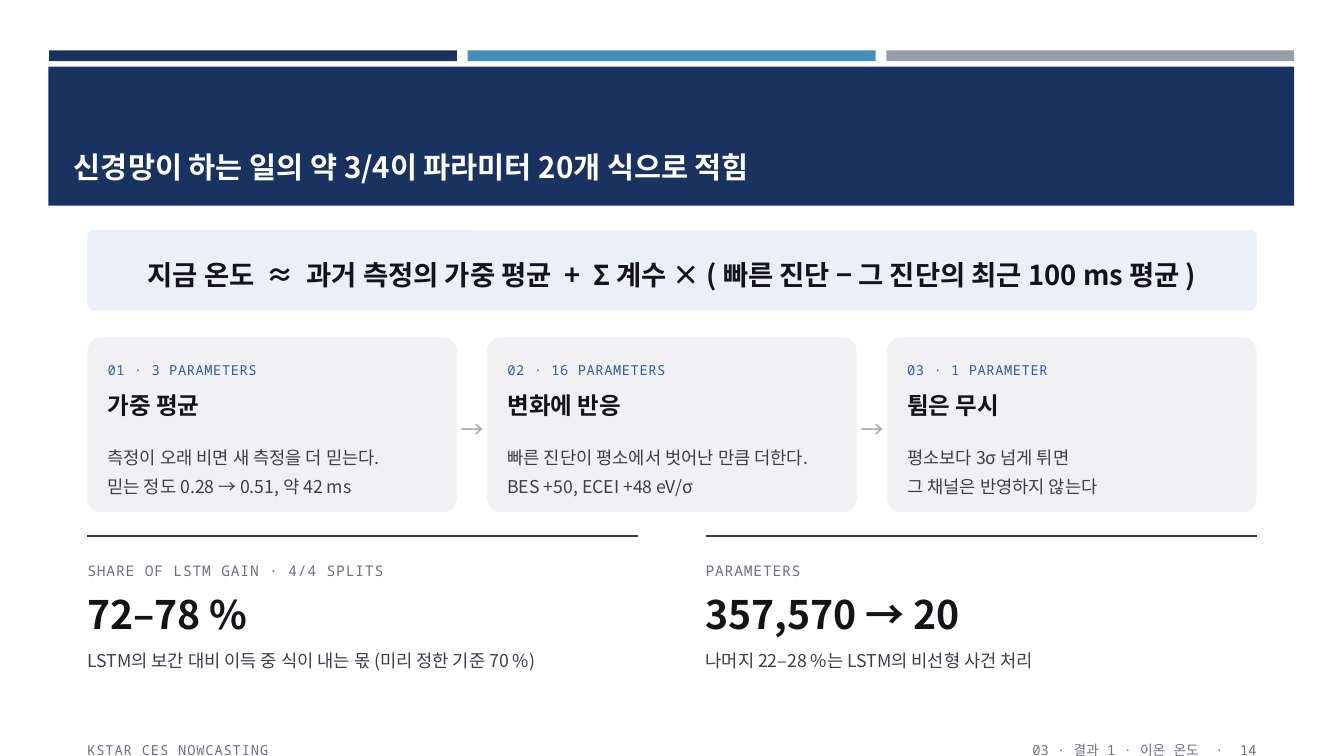
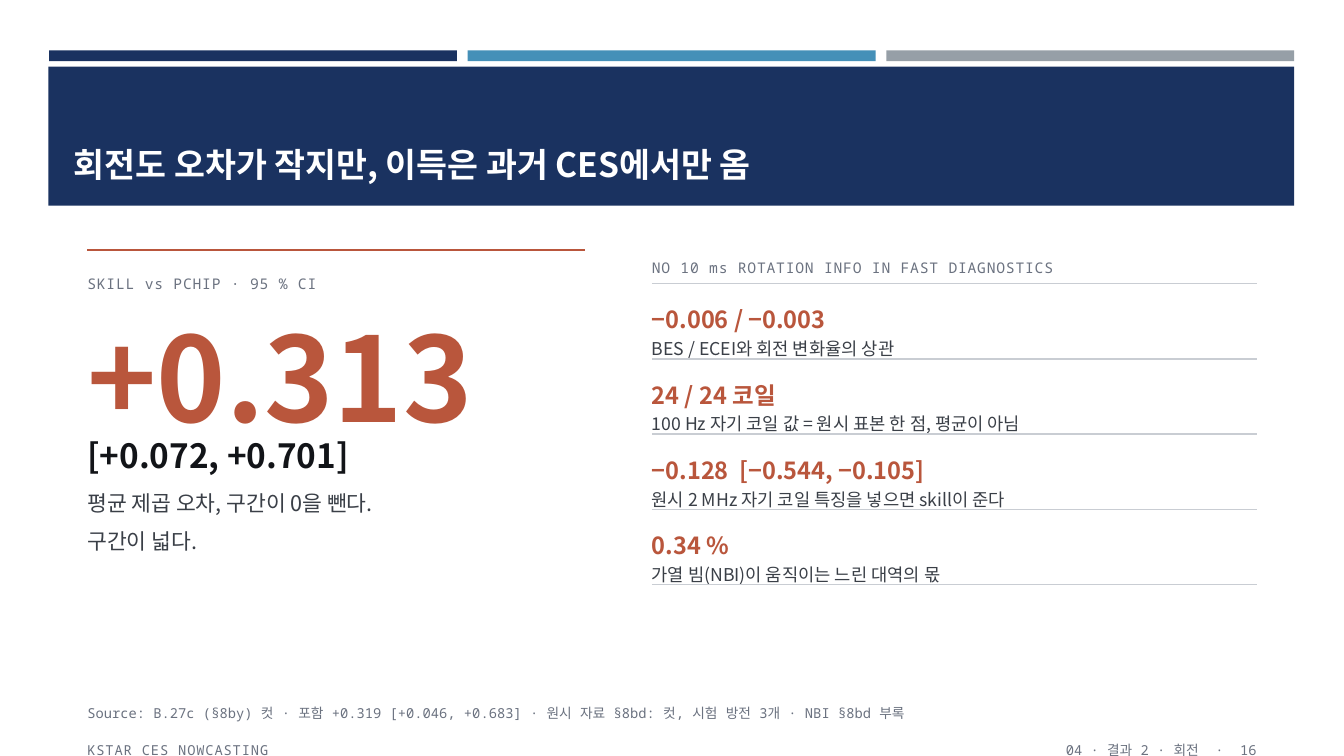
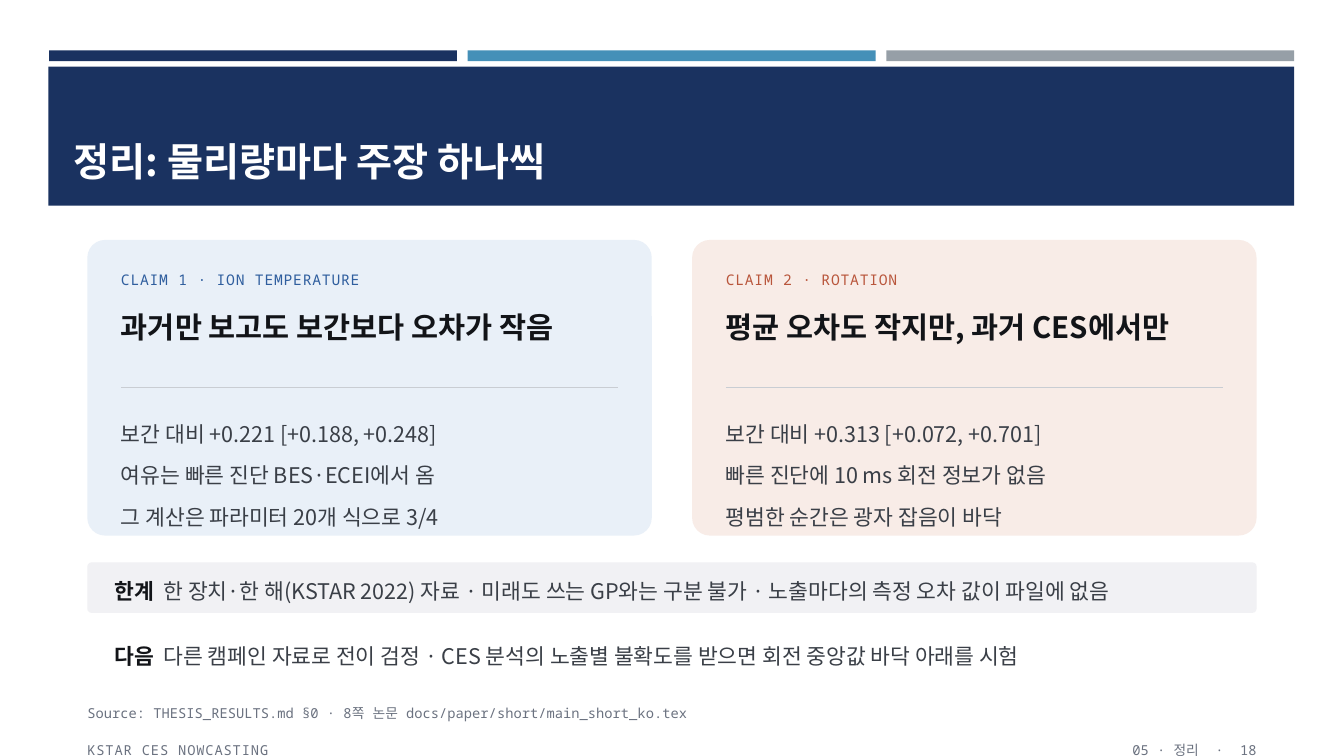
from dataclasses import dataclass, replace

from lxml.etree import SubElement
from pptx import Presentation
from pptx.dml.color import RGBColor
from pptx.enum.shapes import MSO_CONNECTOR, MSO_SHAPE
from pptx.enum.text import MSO_ANCHOR, MSO_AUTO_SIZE, PP_ALIGN
from pptx.oxml.ns import qn
from pptx.util import Emu, Pt

SANS, MONO = "Noto Sans CJK KR", "Noto Sans Mono"
NAVY, SKY, SILVER, WHITE = "1A3260", "4590B8", "969FA7", "FFFFFF"
INK, BODY, MUTED, ARROW, RULE = "121418", "3A3F47", "6B7280", "A4A9B1", "C9CDD3"
BLUE, RUST, PALE_BLUE, PALE_RUST, PALE_GRAY = "2F5E9E", "B9563C", "E9F0F8", "F8ECE7", "F1F1F4"
LEFT, CONTENT_WIDTH = 130, 1740


@dataclass(frozen=True)
class Style:
    """Look of a run and the line spacing of its paragraph."""
    size: float
    color: str = BODY
    bold: bool = False
    font: str = SANS
    leading: float = 1.25
    tracking: int = 0


LABEL = Style(10.5, MUTED, font=MONO, tracking=60)
SMALL = Style(9.8, MUTED, font=MONO)
FOOTER = replace(SMALL, tracking=60)
STEP_LABEL = Style(9.8, BLUE, font=MONO, tracking=40)
NOTE = Style(12.6)
LOOSE_NOTE = replace(NOTE, leading=1.4)
TEXT = Style(15.4)
STRONG = Style(15.4, INK, True)
FINDING = Style(16.8, RUST, True)


def px(length):
    """Turn whole px (150 to the inch) into EMU."""
    return Emu(length * 6096)


def rgb(color):
    """Turn a hex string into a colour."""
    return RGBColor.from_string(color)


def add_run(paragraph, words, style):
    """Append one styled run."""
    run = paragraph.add_run()
    run.text = words
    font = run.font
    font.size, font.bold, font.name = Pt(style.size), style.bold, style.font
    font.color.rgb = rgb(style.color)
    properties = run._r.get_or_add_rPr()
    SubElement(properties, qn("a:ea"), typeface=style.font)
    if style.tracking:
        properties.set("spc", str(style.tracking))


def write(frame, lines, align=PP_ALIGN.LEFT, anchor=MSO_ANCHOR.TOP):
    """Fill a frame with paragraphs, each a list of (words, style) runs."""
    frame.word_wrap, frame.auto_size = True, MSO_AUTO_SIZE.NONE
    frame.vertical_anchor = anchor
    for index, runs in enumerate(lines):
        paragraph = frame.add_paragraph() if index else frame.paragraphs[0]
        paragraph.alignment, paragraph.line_spacing = align, runs[0][1].leading
        for words, style in runs:
            add_run(paragraph, words, style)


def trim(frame):
    """Remove the insets of a frame."""
    frame.margin_left = frame.margin_right = frame.margin_top = frame.margin_bottom = 0


def add_text(slide, x, y, width, height, lines, **layout):
    """Add a text box without insets."""
    frame = slide.shapes.add_textbox(px(x), px(y), px(width), px(height)).text_frame
    trim(frame)
    write(frame, lines, **layout)


def add_line_of_text(slide, x, y, width, height, words, style, **layout):
    """Add a text box holding a single run."""
    add_text(slide, x, y, width, height, [[(words, style)]], **layout)


def add_panel(slide, x, y, width, height, fill, radius=0.0):
    """Add a filled rectangle, rounded when a radius is given."""
    preset = MSO_SHAPE.ROUNDED_RECTANGLE if radius else MSO_SHAPE.RECTANGLE
    panel = slide.shapes.add_shape(preset, px(x), px(y), px(width), px(height))
    if radius:
        panel.adjustments[0] = radius
    panel.shadow.inherit = False
    panel.fill.solid()
    panel.fill.fore_color.rgb = rgb(fill)
    panel.line.fill.background()
    return panel


def add_rule(slide, x, y, width, color=RULE, weight=1.0):
    """Add a horizontal line."""
    rule = slide.shapes.add_connector(MSO_CONNECTOR.STRAIGHT, px(x), px(y), px(x + width), px(y))
    rule.line.color.rgb, rule.line.width = rgb(color), Pt(weight)
    SubElement(rule._element.spPr, qn("a:effectLst"))


def add_master_bands(slide):
    """Draw the header bands and move them to the slide master."""
    bands = [add_panel(slide, 73 + 623 * column, 75, 607, 16, color)
             for column, color in enumerate((NAVY, SKY, SILVER))]
    bands.append(add_panel(slide, 72, 99, 1854, 207, NAVY))
    master_tree = slide.slide_layout.slide_master.shapes._spTree
    for index, band in enumerate(bands):
        band._element.nvSpPr.cNvPr.set("id", str(20 + index))
        master_tree.insert(2 + index, band._element)


def add_slide(deck, heading, size, section, source=None):
    """Add a slide with its title, footer and optional source line."""
    slide = deck.slides.add_slide(deck.slide_layouts[5])
    title = slide.shapes.title
    title.left, title.top, title.width, title.height = px(95), px(120), px(1809), px(162)
    write(title.text_frame, [[(heading, Style(size, WHITE, True, leading=1.0))]],
          anchor=MSO_ANCHOR.BOTTOM)
    if source:
        add_line_of_text(slide, LEFT, 1042, CONTENT_WIDTH, 40, source, SMALL)
    add_line_of_text(slide, LEFT, 1098, 800, 27, "KSTAR CES NOWCASTING", FOOTER)
    add_line_of_text(slide, 1070, 1098, 800, 27, section, SMALL, align=PP_ALIGN.RIGHT)
    return slide


def add_step(slide, x, label, name, details):
    """Add one numbered step card."""
    top = 502
    add_panel(slide, x, top, 550, 260, PALE_GRAY, 0.08)
    add_line_of_text(slide, x + 30, top + 30, 490, 40, label, STEP_LABEL)
    add_line_of_text(slide, x + 30, top + 72, 490, 90, name, Style(16.8, INK, True, leading=1.2))
    add_text(slide, x + 30, top + 150, 490, 100, [[(detail, LOOSE_NOTE)] for detail in details])


def add_metric(slide, x, label, value, note):
    """Add a ruled key figure with its label and note."""
    add_rule(slide, x, 798, 820, BODY, 1.25)
    add_line_of_text(slide, x, 830, 820, 35, label, LABEL)
    add_line_of_text(slide, x, 878, 820, 70, value, Style(28, INK, True, leading=1.0))
    add_line_of_text(slide, x, 954, 820, 60, note, LOOSE_NOTE)


def add_finding(slide, x, y, value, note):
    """Add a value with a note and a closing rule."""
    add_line_of_text(slide, x, y + 22, 900, 50, value, FINDING)
    add_line_of_text(slide, x, y + 73, 900, 60, note, NOTE)
    add_rule(slide, x, y + 112, 900)


def add_claim(slide, x, fill, accent, label, claim, points):
    """Add a claim card with its supporting points."""
    top, inner = 357, x + 50
    add_panel(slide, x, top, 840, 440, fill, 0.06)
    add_line_of_text(slide, inner, top + 40, 740, 35, label, replace(LABEL, color=accent))
    add_line_of_text(slide, inner, top + 90, 740, 120, claim, Style(21, INK, True))
    add_rule(slide, inner, top + 220, 740)
    add_text(slide, inner, top + 246, 740, 190,
             [[(point, replace(TEXT, leading=1.6))] for point in points])


def build_formula(slide):
    """Fill the slide on the 20-parameter formula."""
    formula = add_panel(slide, LEFT, 342, CONTENT_WIDTH, 120, PALE_BLUE, 0.08).text_frame
    trim(formula)
    write(formula, [[("지금 온도  ≈  과거 측정의 가중 평균  +  Σ 계수 × ( 빠른 진단 − 그 진단의 최근 100 ms 평균 )",
                      Style(19.6, INK, True))]],
          align=PP_ALIGN.CENTER, anchor=MSO_ANCHOR.MIDDLE)
    steps = [
        ("01 · 3 PARAMETERS", "가중 평균",
         ["측정이 오래 비면 새 측정을 더 믿는다.", "믿는 정도 0.28 → 0.51, 약 42 ms"]),
        ("02 · 16 PARAMETERS", "변화에 반응",
         ["빠른 진단이 평소에서 벗어난 만큼 더한다.", "BES +50, ECEI +48 eV/σ"]),
        ("03 · 1 PARAMETER", "튐은 무시",
         ["평소보다 3σ 넘게 튀면", "그 채널은 반영하지 않는다"]),
    ]
    for index, step in enumerate(steps):
        x = LEFT + 595 * index
        add_step(slide, x, *step)
        if index:
            add_line_of_text(slide, x - 45, 603, 45, 60, "→", Style(16.8, ARROW),
                             align=PP_ALIGN.CENTER, anchor=MSO_ANCHOR.MIDDLE)
    add_metric(slide, LEFT, "SHARE OF LSTM GAIN · 4/4 SPLITS", "72–78 %",
               "LSTM의 보간 대비 이득 중 식이 내는 몫 (미리 정한 기준 70 %)")
    add_metric(slide, 1050, "PARAMETERS", "357,570 → 20",
               "나머지 22–28 %는 LSTM의 비선형 사건 처리")


def build_rotation(slide):
    """Fill the slide on the rotation result."""
    add_rule(slide, LEFT, 372, 740, RUST, 2)
    add_line_of_text(slide, LEFT, 402, 740, 35, "SKILL vs PCHIP · 95 % CI", LABEL)
    add_line_of_text(slide, LEFT, 453, 740, 190, "+0.313", Style(84, RUST, True, leading=1.0))
    add_line_of_text(slide, LEFT, 633, 740, 70, "[+0.072, +0.701]", Style(23.8, INK, True))
    remark = replace(TEXT, leading=1.45)
    add_text(slide, LEFT, 712, 740, 140,
             [[("평균 제곱 오차, 구간이 0을 뺀다.", remark)], [("구간이 넓다.", remark)]])
    x, top = 970, 422
    add_line_of_text(slide, x, 378, 900, 35, "NO 10 ms ROTATION INFO IN FAST DIAGNOSTICS", LABEL)
    add_rule(slide, x, top, 900)
    findings = [
        ("−0.006 / −0.003", "BES / ECEI와 회전 변화율의 상관"),
        ("24 / 24 코일", "100 Hz 자기 코일 값 = 원시 표본 한 점, 평균이 아님"),
        ("−0.128  [−0.544, −0.105]", "원시 2 MHz 자기 코일 특징을 넣으면 skill이 준다"),
        ("0.34 %", "가열 빔(NBI)이 움직이는 느린 대역의 몫"),
    ]
    for index, finding in enumerate(findings):
        add_finding(slide, x, top + 112 * index, *finding)


def build_summary(slide):
    """Fill the slide that sums up the claims."""
    add_claim(slide, LEFT, PALE_BLUE, BLUE, "CLAIM 1 · ION TEMPERATURE",
              "과거만 보고도 보간보다 오차가 작음",
              ["보간 대비 +0.221 [+0.188, +0.248]", "여유는 빠른 진단 BES·ECEI에서 옴",
               "그 계산은 파라미터 20개 식으로 3/4"])
    add_claim(slide, 1030, PALE_RUST, RUST, "CLAIM 2 · ROTATION",
              "평균 오차도 작지만, 과거 CES에서만",
              ["보간 대비 +0.313 [+0.072, +0.701]", "빠른 진단에 10 ms 회전 정보가 없음",
               "평범한 순간은 광자 잡음이 바닥"])
    add_panel(slide, LEFT, 837, CONTENT_WIDTH, 75, PALE_GRAY, 0.08)
    remarks = [
        ("한계  ", "한 장치·한 해(KSTAR 2022) 자료 · 미래도 쓰는 GP와는 구분 불가 · 노출마다의 측정 오차 값이 파일에 없음"),
        ("다음  ", "다른 캠페인 자료로 전이 검정 · CES 분석의 노출별 불확도를 받으면 회전 중앙값 바닥 아래를 시험"),
    ]
    for index, (lead, remark) in enumerate(remarks):
        add_text(slide, 170, 837 + 96 * index, 1660, 75, [[(lead, STRONG), (remark, TEXT)]],
                 anchor=MSO_ANCHOR.MIDDLE)


def main():
    """Build and save the deck."""
    deck = Presentation()
    deck.slide_width, deck.slide_height = px(2000), px(1125)
    formula = add_slide(deck, "신경망이 하는 일의 약 3/4이 파라미터 20개 식으로 적힘", 21,
                        "03 · 결과 1 · 이온 온도  ·  14")
    add_master_bands(formula)
    build_formula(formula)
    build_rotation(add_slide(
        deck, "회전도 오차가 작지만, 이득은 과거 CES에서만 옴", 24, "04 · 결과 2 · 회전  ·  16",
        "Source: B.27c (§8by) 컷 · 포함 +0.319 [+0.046, +0.683] · 원시 자료 §8bd: 컷, 시험 방전 3개 · NBI §8bd 부록"))
    build_summary(add_slide(
        deck, "정리: 물리량마다 주장 하나씩", 28, "05 · 정리  ·  18",
        "Source: THESIS_RESULTS.md §0 · 8쪽 논문 docs/paper/short/main_short_ko.tex"))
    deck.save("out.pptx")


if __name__ == "__main__":
    main()
